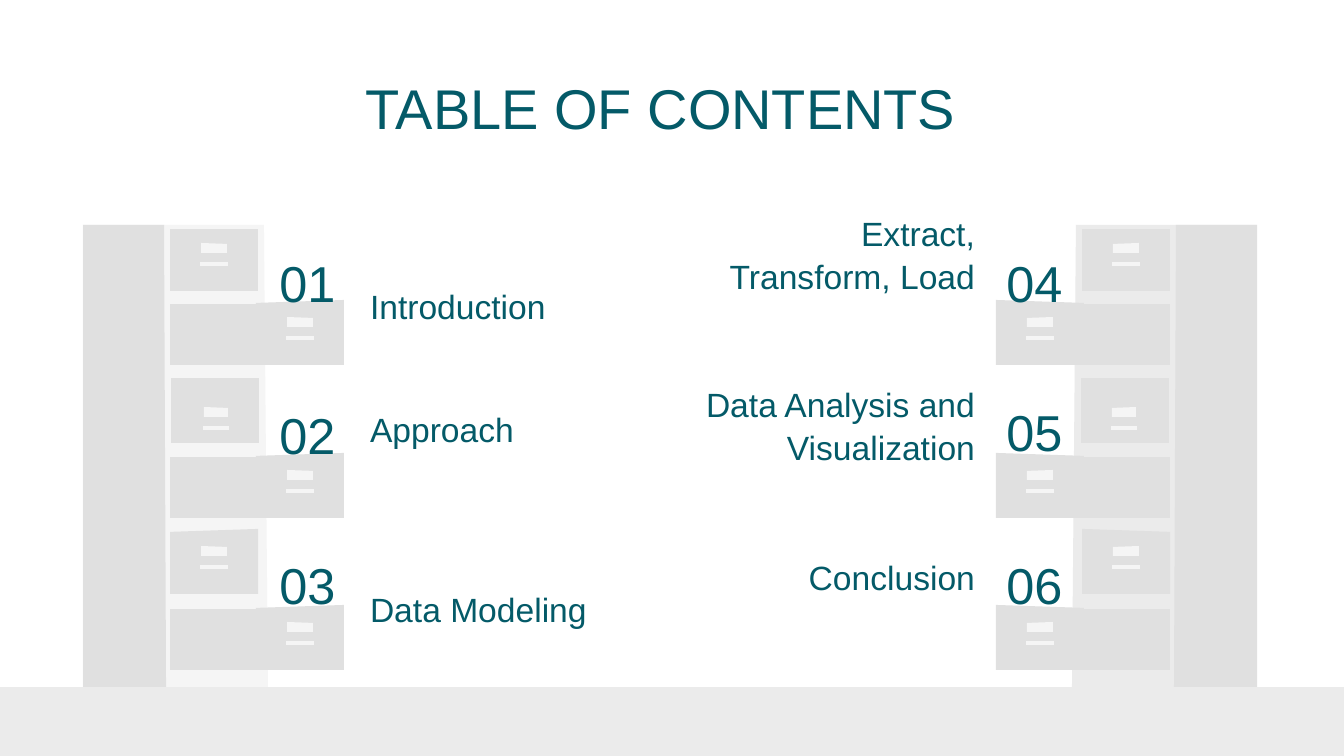
from pptx import Presentation
from pptx.dml.color import RGBColor
from pptx.enum.text import MSO_ANCHOR, MSO_AUTO_SIZE, PP_ALIGN

PX = 914400 / 134.4
WIDE, HIGH = 1344, 756
MIRROR = 1340  # sum of the x values of a point and its mirrored twin
INSET = 13
COLORS = {"ink": "045A68", "floor": "EBEBEB", "steel": "E0E0E0", "pale": "F5F5F5"}

TITLE = "TABLE OF CONTENTS"
# number, its top, topic, its top
LEFT = [
    ("01", 234, "Introduction", 245),
    ("02", 386, "Approach", 368),
    ("03", 536, "Data Modeling", 548),
]
RIGHT = [
    ("04", 234, "Extract, Transform, Load", 215),
    ("05", 383, "Data Analysis and Visualization", 386),
    ("06", 536, "Conclusion", 516),
]
# left, top, height, slant, label left, label top, label width
CLOSED = [
    (170, 229, 62, 0, 200, 243, 28),
    (171, 378, 65, 0, 203, 407, 26),
    (170, 529, 65, 3, 200, 546, 28),
]
OPEN = [300, 453, 605]
BASE = 687


def emu(n):
    return round(n * PX)


def rgb(name):
    return RGBColor.from_string(COLORS[name])


def outline(shapes, points, color):
    pen = shapes.build_freeform(*points[0], scale=PX)
    pen.add_line_segments(points[1:], close=True)
    shape = pen.convert_to_shape()
    shape.shadow.inherit = False
    shape.fill.solid()
    shape.fill.fore_color.rgb = rgb(color)
    shape.line.fill.background()


def write(shape, text, box, size, align=PP_ALIGN.LEFT, anchor=MSO_ANCHOR.TOP,
          top=INSET, space=None):
    shape.left, shape.top, shape.width, shape.height = map(emu, box)
    frame = shape.text_frame
    frame.word_wrap = True
    frame.auto_size = MSO_AUTO_SIZE.NONE
    frame.vertical_anchor = anchor
    frame.margin_left = frame.margin_right = frame.margin_bottom = emu(INSET)
    frame.margin_top = emu(top)
    frame.text = text
    par = frame.paragraphs[0]
    par.alignment = align
    par.line_spacing = space
    font = par.runs[0].font
    font.name = "Arial"
    font.size = emu(size * 134.4 / 72)
    font.color.rgb = rgb("ink")


def cabinet(shapes, body, flip):
    group = shapes.add_group_shape().shapes

    def draw(points, color):
        outline(group, [(MIRROR - x if flip else x, y) for x, y in points], color)

    def panel(x, y, w, h, color, slant=0):
        """Draw a box whose left top corner drops by slant (right one if negative)."""
        draw([(x, y + max(slant, 0)), (x, y + h), (x + w, y + h),
              (x + w, y + max(-slant, 0))], color)

    def label(x, y, w):
        panel(x + 1, y, w - 2, 10, "pale", slant=-1)
        panel(x, y + 19, w, 4, "pale")

    draw([(83, 225), (83, BASE), (268, BASE), (264, 225)], body)
    draw([(83, 225), (83, BASE), (166, BASE), (164, 225)], "steel")
    for x, y, h, slant, lx, ly, lw in CLOSED:
        panel(x, y, 88, h, "steel", slant)
        label(lx, ly, lw)
    for y in OPEN:
        panel(256, y, 88, 65, "steel", slant=3)
        label(286, y + 17, 28)
        panel(170, y + 4, 86, 61, "steel")


def topics(shapes, rows, num_x, text_x, align):
    for num, num_y, text, text_y in rows:
        write(shapes.add_textbox(0, 0, 0, 0), num, (num_x, num_y, 97, 121), 27,
              align=PP_ALIGN.CENTER, top=18)
        write(shapes.add_textbox(0, 0, 0, 0), text, (text_x, text_y, 301, 94), 18,
              align=align, anchor=MSO_ANCHOR.BOTTOM, space=1.05)


def main():
    deck = Presentation()
    deck.slide_width, deck.slide_height = emu(WIDE), emu(HIGH)
    shapes = deck.slides.add_slide(deck.slide_layouts[5]).shapes
    outline(shapes, [(0, BASE), (0, HIGH), (WIDE, HIGH), (WIDE, BASE)], "floor")
    write(shapes.title, TITLE, (83, 79, 1156, 47), 30, align=PP_ALIGN.CENTER,
          anchor=MSO_ANCHOR.MIDDLE, top=23)
    cabinet(shapes, "floor", flip=True)
    cabinet(shapes, "pale", flip=False)
    topics(shapes, LEFT, 259, 357, PP_ALIGN.LEFT)
    topics(shapes, RIGHT, 986, 687, PP_ALIGN.RIGHT)
    deck.save("out.pptx")


if __name__ == "__main__":
    main()
